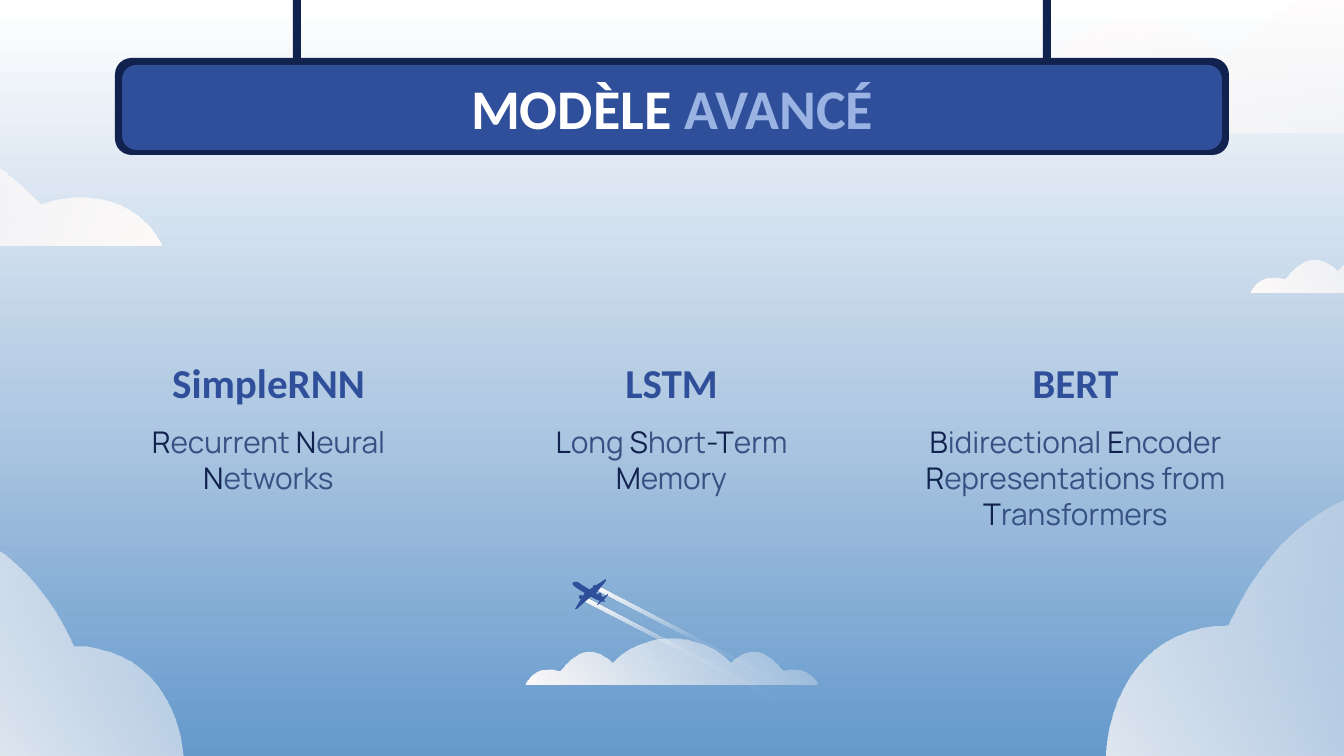
from itertools import groupby

from lxml.etree import SubElement
from pptx import Presentation
from pptx.dml.color import RGBColor
from pptx.enum.shapes import MSO_SHAPE as SHAPE
from pptx.enum.text import MSO_ANCHOR as ANCHOR, PP_ALIGN as ALIGN
from pptx.oxml.ns import qn
from pptx.util import Pt

PX = 914400 / 134.4
NAVY = RGBColor(0x11, 0x22, 0x4E)
BLUE = RGBColor(0x30, 0x4F, 0x9B)
SLATE = RGBColor(0x38, 0x51, 0x83)
PALE = RGBColor(0x9A, 0xB3, 0xE3)
WHITE = RGBColor(0xFF, 0xFF, 0xFF)
MIST = RGBColor(0xFE, 0xFA, 0xF9)
SKY = RGBColor(0x65, 0x99, 0xCC)
HAZE = RGBColor(0xB2, 0xCA, 0xE3)

SKY_STOPS = [(0, SKY, 100), (47, HAZE, 100), (100, WHITE, 100)]
CLOUD_STOPS = [(0, MIST, 19), (100, MIST, 100)]
TRAIL_STOPS = [(0, WHITE, 100), (50, MIST, 10), (100, MIST, 0)]

prs = Presentation()
prs.slide_width, prs.slide_height = round(1344 * PX), round(756 * PX)
s = prs.slides.add_slide(prs.slide_layouts[6])


def set_gradient(fill, element, stops, angle):
    """Fill with (position, colour, opacity) stops; angle runs counterclockwise."""
    fill.gradient()
    fill.gradient_angle = angle
    gs_list = element.xpath(".//a:gradFill/a:gsLst")[0]
    for gs in list(gs_list):
        gs_list.remove(gs)
    for position, colour, opacity in stops:
        gs = SubElement(gs_list, qn("a:gs"), pos=str(position * 1000))
        clr = SubElement(gs, qn("a:srgbClr"), val=str(colour))
        if opacity < 100:
            SubElement(clr, qn("a:alpha"), val=str(opacity * 1000))


def draw_outline(points, curved=False, corner=None):
    """Closed outline; curved points are a chain of cubic Bezier controls."""
    line = points + [corner] if corner else points
    builder = s.shapes.build_freeform(*line[0], scale=PX)
    builder.add_line_segments(line[1:], close=True)
    sp = builder.convert_to_shape()
    if curved:
        segments = sp.element.xpath(".//a:lnTo")[:len(points) - 1]
        for first, second, end in zip(segments[::3], segments[1::3], segments[2::3]):
            first.tag = qn("a:cubicBezTo")
            for segment in (second, end):
                first.append(segment[0])
                segment.getparent().remove(segment)
    sp.shadow.inherit = False
    sp.line.fill.background()
    return sp


set_gradient(s.background.fill, s.element, SKY_STOPS, 90)

# Large clouds: curve points, far bottom corner, gradient angle
back_cloud = ([(1460, -39), (1460, -39), (1352, -69), (1226, 58), (1129, -16), (1070, 34),
               (1017, 86), (915, 52), (884, 133), (884, 133)], (1460, 133))
front_clouds = [
    ([(-91, 524), (-91, 524), (11, 508), (74, 646), (145, 646), (184, 704),
      (184, 771), (246, 771), (274, 833), (274, 833)], (-91, 833), 225),
    ([(1414, 488), (1414, 488), (1300, 469), (1228, 625), (1148, 625), (1105, 691),
      (1105, 766), (1034, 766), (1003, 836), (1003, 836)], (1414, 836), 225),
    ([(-356, 91), (-356, 91), (-261, 66), (-146, 179), (-59, 113), (-7, 157),
      (40, 204), (132, 175), (161, 246), (161, 246)], (-356, 246), 315),
]
sp = draw_outline(back_cloud[0], True, back_cloud[1])
set_gradient(sp.fill, sp.element, CLOUD_STOPS, 225)

# Hanging sign
for x, y, w, h, colour in [(115, 58, 1114, 97, NAVY), (122, 65, 1100, 85, BLUE),
                           (1043, -36, 8, 98, NAVY), (293, -36, 8, 98, NAVY)]:
    sp = s.shapes.add_shape(SHAPE.ROUNDED_RECTANGLE, *(round(v * PX) for v in (x, y, w, h)))
    sp.adjustments[0] = 0.17
    sp.shadow.inherit = False
    sp.fill.solid()
    sp.fill.fore_color.rgb = colour
    sp.line.fill.background()

for points, corner, angle in front_clouds:
    sp = draw_outline(points, True, corner)
    set_gradient(sp.fill, sp.element, CLOUD_STOPS, angle)

# Small symmetric clouds; the second one floats in front of the trails
half = [(0, 46), (0, 46), (5, 31), (23, 31), (26, 31), (30, 31), (35, 32), (43, 23),
        (52, 13), (64, 13), (71, 13), (79, 16), (87, 24), (102, 8), (124, 0), (146, 0)]
small_cloud = half + [(292 - x, y) for x, y in reversed(half[:-1])]
trail = [(790, 691), (792, 687), (598, 586), (595, 590)]
for points, curved, dx, dy, stops, angle in [
        (small_cloud, True, 1251, 247, CLOUD_STOPS, 225),
        (trail, False, 0, 0, TRAIL_STOPS, 270),
        (trail, False, -11, 12, TRAIL_STOPS, 270),
        (small_cloud, True, 526, 639, CLOUD_STOPS, 225)]:
    sp = draw_outline([(x + dx, y + dy) for x, y in points], curved)
    set_gradient(sp.fill, sp.element, stops, angle)

# Plane: fuselage, wings, tail, fin, propellers, then engines
fuselage = [(575, 582), (575, 582), (577, 582), (578, 582), (581, 585), (591, 590),
            (595, 593), (598, 594), (601, 595), (603, 597), (603, 597), (605, 602),
            (605, 602), (601, 602), (595, 599), (595, 599), (595, 599), (577, 589),
            (574, 586), (571, 585), (573, 583), (573, 583), (573, 582), (574, 582),
            (575, 582)]
plane = [draw_outline(fuselage, True)]
for points in [
        [(586, 591), (593, 595), (586, 601), (577, 609), (575, 609)],
        [(606, 579), (606, 581), (598, 591), (594, 595), (589, 590)],
        [(601, 599), (602, 601), (598, 605), (597, 605)],
        [(608, 594), (608, 595), (603, 601), (602, 598)],
        [(599, 593), (601, 593), (602, 598), (599, 595)],
        [(583, 595), (585, 597), (583, 598)],
        [(595, 585), (598, 586), (595, 587)]]:
    plane.append(draw_outline(points))
for x, y in [(579, 595), (593, 585)]:
    plane.append(s.shapes.add_shape(SHAPE.OVAL, *(round(v * PX) for v in (x, y, 4, 4))))
for sp in plane:
    sp.shadow.inherit = False
    sp.fill.solid()
    sp.fill.fore_color.rgb = BLUE
    sp.line.fill.background()

# Texts: box, anchor, font, size, bold, runs
texts = [((122, 65, 1100, 84), ANCHOR.MIDDLE, "Calibri", 30, True,
          [("MODÈLE ", WHITE), ("AVANCÉ", PALE)])]
models = [("SimpleRNN", "Recurrent Neural Networks", 104, 93),
          ("LSTM", "Long Short-Term Memory", 507, 93),
          ("BERT", "Bidirectional Encoder Representations from Transformers", 911, 142)]
for name, meaning, left, height in models:
    initials = [("".join(chars), NAVY if strong else SLATE)
                for strong, chars in groupby(meaning, lambda c: c.isupper() or c == "-")]
    texts.append(((left, 343, 329, 79), ANCHOR.MIDDLE, "Calibri", 22, True, [(name, BLUE)]))
    texts.append(((left, 411, 329, height), ANCHOR.TOP, "Manrope", 16, False, initials))

for box, anchor, font, size, bold, runs in texts:
    tf = s.shapes.add_textbox(*(round(v * PX) for v in box)).text_frame
    tf.word_wrap = True
    tf.vertical_anchor = anchor
    tf.margin_left = tf.margin_right = tf.margin_top = tf.margin_bottom = round(13 * PX)
    p = tf.paragraphs[0]
    p.alignment = ALIGN.CENTER
    for text, colour in runs:
        r = p.add_run()
        r.text = text
        r.font.name = font
        r.font.size = Pt(size)
        r.font.bold = bold
        r.font.color.rgb = colour

prs.save("out.pptx")
